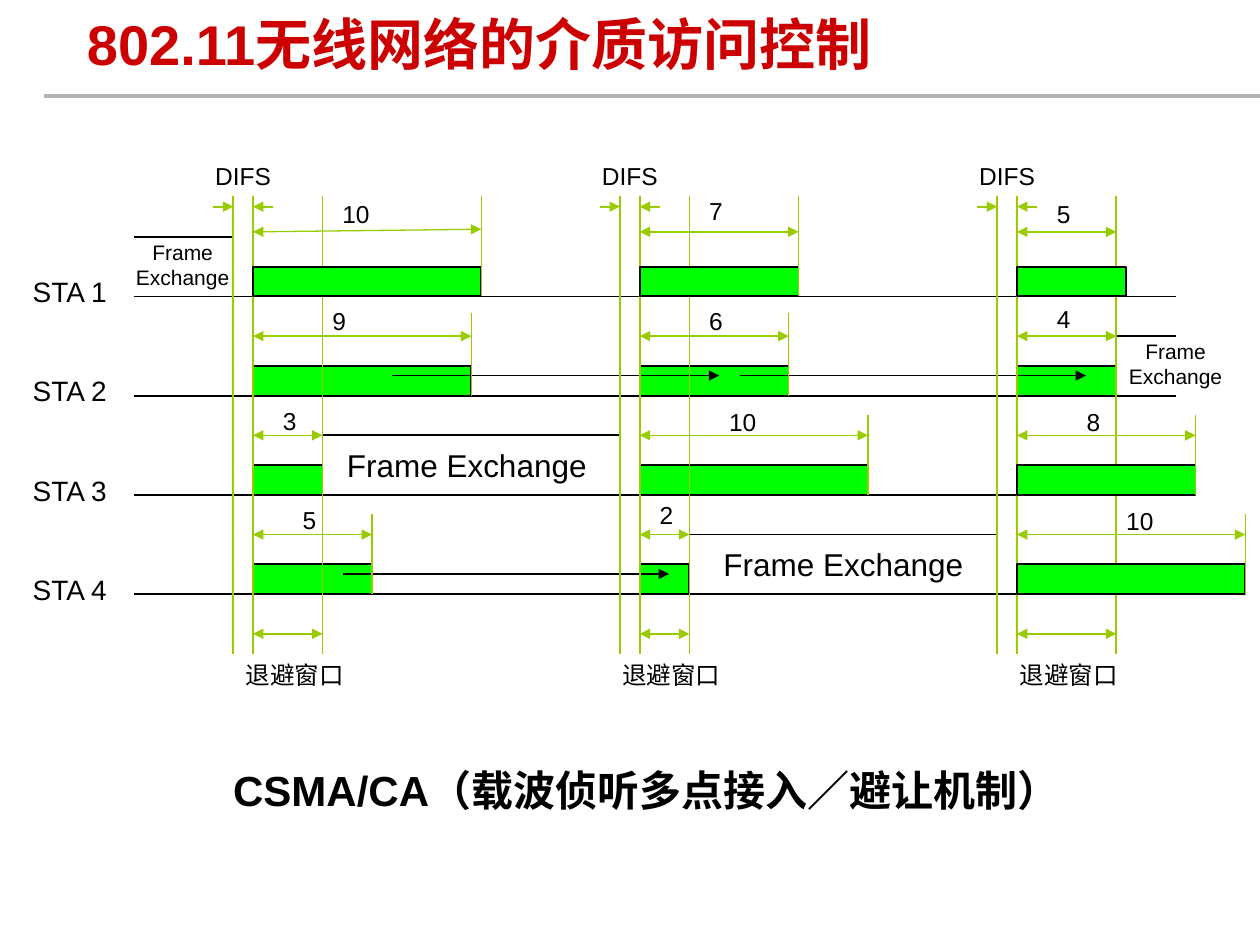
from dataclasses import dataclass

import pptx
import pptx.dml.color
import pptx.enum.shapes
import pptx.enum.text
import pptx.oxml
import pptx.oxml.ns
import pptx.util

Pt = pptx.util.Pt
RGBColor = pptx.dml.color.RGBColor
ALIGN = pptx.enum.text.PP_ALIGN
ANCHOR = pptx.enum.text.MSO_ANCHOR

BLACK = RGBColor(0x00, 0x00, 0x00)
RED = RGBColor(0xCC, 0x00, 0x00)
GREY = RGBColor(0xB2, 0xB2, 0xB2)
BAR_GREEN = RGBColor(0x00, 0xFF, 0x00)
MARK_GREEN = RGBColor(0x99, 0xCC, 0x00)

UNIT = 5.67  # grid step of the timing diagram
AXIS_LEFT, AXIS_RIGHT = 76.5, 672
MARK_TOP, MARK_BOTTOM = 112.3, 373.7
BASELINES = [169.4 + 10 * UNIT * row for row in range(4)]
SPAN_TOPS = [132.5] + [baseline - 6 * UNIT for baseline in BASELINES[1:]]
TICK_TOPS = [MARK_TOP, 178.6, 237.4, 293.8]
BAR_HEIGHT = 3 * UNIT


@dataclass
class Backoff:
    """Backoff of one station; width and label_shift are in grid units."""
    slots: int
    width: float
    label_shift: float
    label_top: float
    ticked: bool = True  # an unticked span stops at the end of the window
    in_front: bool = False
    tip_rise: float = 0


@dataclass
class Contention:
    """One contention period; window and caption_shift are in grid units."""
    start: float
    window: float
    caption_shift: float
    backoffs: list


CONTENTIONS = [
    Contention(144.6, 7, -2, [
        Backoff(10, 23, 9, 113.8, in_front=True, tip_rise=1.5),
        Backoff(9, 22, 8, 175),
        Backoff(3, 7, 3, 231.8, ticked=False),
        Backoff(5, 12, 5, 288.7)]),
    Contention(365.6, 5, -3, [
        Backoff(7, 16, 7, 112.3, in_front=True),
        Backoff(6, 15, 7, 175),
        Backoff(10, 23, 9, 232.6),
        Backoff(2, 5, 2, 285.8, ticked=False)]),
    Contention(581.2, 10, -1, [
        Backoff(5, 11, 4, 113.8, ticked=False, in_front=True),
        Backoff(4, 10, 4, 173.5, ticked=False),
        Backoff(8, 18, 7, 232.6, in_front=True),
        Backoff(10, 23, 11, 289.4, in_front=True)]),
]


def write_text(shape, text, size=14, color=BLACK, bold=False, align=ALIGN.LEFT,
               anchor=ANCHOR.TOP, inset=(7.2, 3.6), wrap=True):
    frame = shape.text_frame
    frame.text = text
    frame.word_wrap = wrap
    frame.auto_size = pptx.enum.text.MSO_AUTO_SIZE.NONE
    frame.vertical_anchor = anchor
    frame.margin_left = frame.margin_right = Pt(inset[0])
    frame.margin_top = frame.margin_bottom = Pt(inset[1])
    for paragraph in frame.paragraphs:
        paragraph.alignment = align
        paragraph.font.name = "Arial"
        paragraph.font.size = Pt(size)
        paragraph.font.bold = bold
        paragraph.font.color.rgb = color


class TimingSlide:
    def __init__(self, presentation):
        self.slide = presentation.slides.add_slide(presentation.slide_layouts[5])
        self.shapes = self.slide.shapes

    def title(self, text, left, top, width, height):
        shape = self.shapes.title
        shape.left, shape.top = Pt(left), Pt(top)
        shape.width, shape.height = Pt(width), Pt(height)
        write_text(shape, text, size=32, color=RED, bold=True, anchor=ANCHOR.MIDDLE)

    def text(self, text, left, top, width, height, **style):
        shape = self.shapes.add_textbox(Pt(left), Pt(top), Pt(width), Pt(height))
        write_text(shape, text, **style)

    def rectangle(self, left, top, width, height, fill=None):
        shape = self.shapes.add_shape(pptx.enum.shapes.MSO_SHAPE.RECTANGLE,
                                      Pt(left), Pt(top), Pt(width), Pt(height))
        shape.shadow.inherit = False
        if fill is None:
            shape.fill.background()
        else:
            shape.fill.solid()
            shape.fill.fore_color.rgb = fill
        shape.line.color.rgb = BLACK
        shape.line.width = Pt(1)
        return shape

    def line(self, x1, y1, x2, y2, color=BLACK, weight=1, head=False, tail=False):
        """Draw a straight line; head and tail put arrowheads at its start and end."""
        connector = self.shapes.add_connector(
            pptx.enum.shapes.MSO_CONNECTOR.STRAIGHT, Pt(x1), Pt(y1), Pt(x2), Pt(y2))
        connector.line.color.rgb = color
        connector.line.width = Pt(weight)
        outline = connector.line._get_or_add_ln()
        for tag, wanted in (("a:headEnd", head), ("a:tailEnd", tail)):
            if wanted:
                end = pptx.oxml.parse_xml(f'<{tag} {pptx.oxml.ns.nsdecls("a")} type="triangle"/>')
                outline.append(end)
        effects = pptx.oxml.parse_xml(f'<a:effectLst {pptx.oxml.ns.nsdecls("a")}/>')
        connector._element.spPr.append(effects)

    def frame_exchange(self, text, left, baseline, right):
        height = 6 * UNIT
        shape = self.rectangle(left, baseline - height, right - left, height)
        write_text(shape, text, size=18, align=ALIGN.CENTER, anchor=ANCHOR.MIDDLE, wrap=False)

    def bars(self, in_front):
        for contention in CONTENTIONS:
            for backoff, baseline in zip(contention.backoffs, BASELINES):
                if backoff.in_front == in_front:
                    self.rectangle(contention.start, baseline - BAR_HEIGHT,
                                   backoff.width * UNIT, BAR_HEIGHT, BAR_GREEN)

    def contention_marks(self, contention):
        """Draw the DIFS and backoff window limits with their captions."""
        start = contention.start
        difs = start - 2 * UNIT
        window_end = start + contention.window * UNIT
        for x in (difs, start, window_end):
            self.line(x, MARK_TOP, x, MARK_BOTTOM, MARK_GREEN)
        for x, tail_x in ((difs, difs - 2 * UNIT), (start, start + 2 * UNIT)):
            self.line(tail_x, 118.1, x, 118.1, MARK_GREEN, tail=True)
        self.line(start, 362.2, window_end, 362.2, MARK_GREEN, head=True, tail=True)
        self.text("DIFS", start - UNIT - 28.4, 88.7, 56.8, 24.2, align=ALIGN.CENTER)
        self.text("退避窗口", start + contention.caption_shift * UNIT, MARK_BOTTOM, 73.6, 24.2)

    def backoff_spans(self, contention):
        """Draw the measuring arrow, end tick and slot count of each backoff."""
        start = contention.start
        for backoff, baseline, y, tick_top in zip(
                contention.backoffs, BASELINES, SPAN_TOPS, TICK_TOPS):
            end = start + (backoff.width if backoff.ticked else contention.window) * UNIT
            self.line(start, y, end, y - backoff.tip_rise, MARK_GREEN, 0.75, head=True, tail=True)
            if backoff.ticked:
                self.line(end, tick_top, end, baseline, MARK_GREEN, 0.75)
            self.text(str(backoff.slots), start + backoff.label_shift * UNIT,
                      backoff.label_top, 67.7, 16.6, inset=(0, 0))


def main():
    presentation = pptx.Presentation()
    presentation.slide_width, presentation.slide_height = Pt(720), Pt(540)
    diagram = TimingSlide(presentation)
    first, second, third = CONTENTIONS

    diagram.line(25.2, 54.7, 720, 54.7, GREY, 2.25)
    diagram.title("802.11无线网络的介质访问控制", 42.5, 0.7, 635.8, 48.2)

    for number, baseline in enumerate(BASELINES, start=1):
        diagram.line(AXIS_LEFT, baseline, AXIS_RIGHT, baseline)
        diagram.text(f"STA {number}", 8.6, baseline - 16, 62.6, 26.6,
                     size=16, align=ALIGN.CENTER)

    diagram.bars(in_front=False)
    diagram.frame_exchange("Frame Exchange ", first.start + first.window * UNIT,
                           BASELINES[2], second.start - 2 * UNIT)
    diagram.frame_exchange("Frame Exchange", second.start + second.window * UNIT,
                           BASELINES[3], third.start - 2 * UNIT)
    diagram.line(AXIS_LEFT, 135.4, first.start - 2 * UNIT, 135.4)
    diagram.line(third.start + third.window * UNIT, SPAN_TOPS[1], AXIS_RIGHT, SPAN_TOPS[1])
    for left, top in ((64.8, 133.2), (632.2, 190.1)):
        diagram.text("Frame\nExchange", left, top, 79.2, 36, size=12, align=ALIGN.CENTER)

    for x1, x2, y in ((224, 411, 214.6), (422.6, 620.6, 214.6), (195.8, 382.3, 328)):
        diagram.line(x1, y, x2, y, tail=True)
    for contention in CONTENTIONS:
        diagram.contention_marks(contention)
    diagram.bars(in_front=True)
    for contention in CONTENTIONS:
        diagram.backoff_spans(contention)

    diagram.text("CSMA/CA（载波侦听多点接入／避让机制）", 133.2, 437, 475.9, 57.6,
                 size=24, bold=True, inset=(0, 0))
    presentation.save("out.pptx")


if __name__ == "__main__":
    main()
